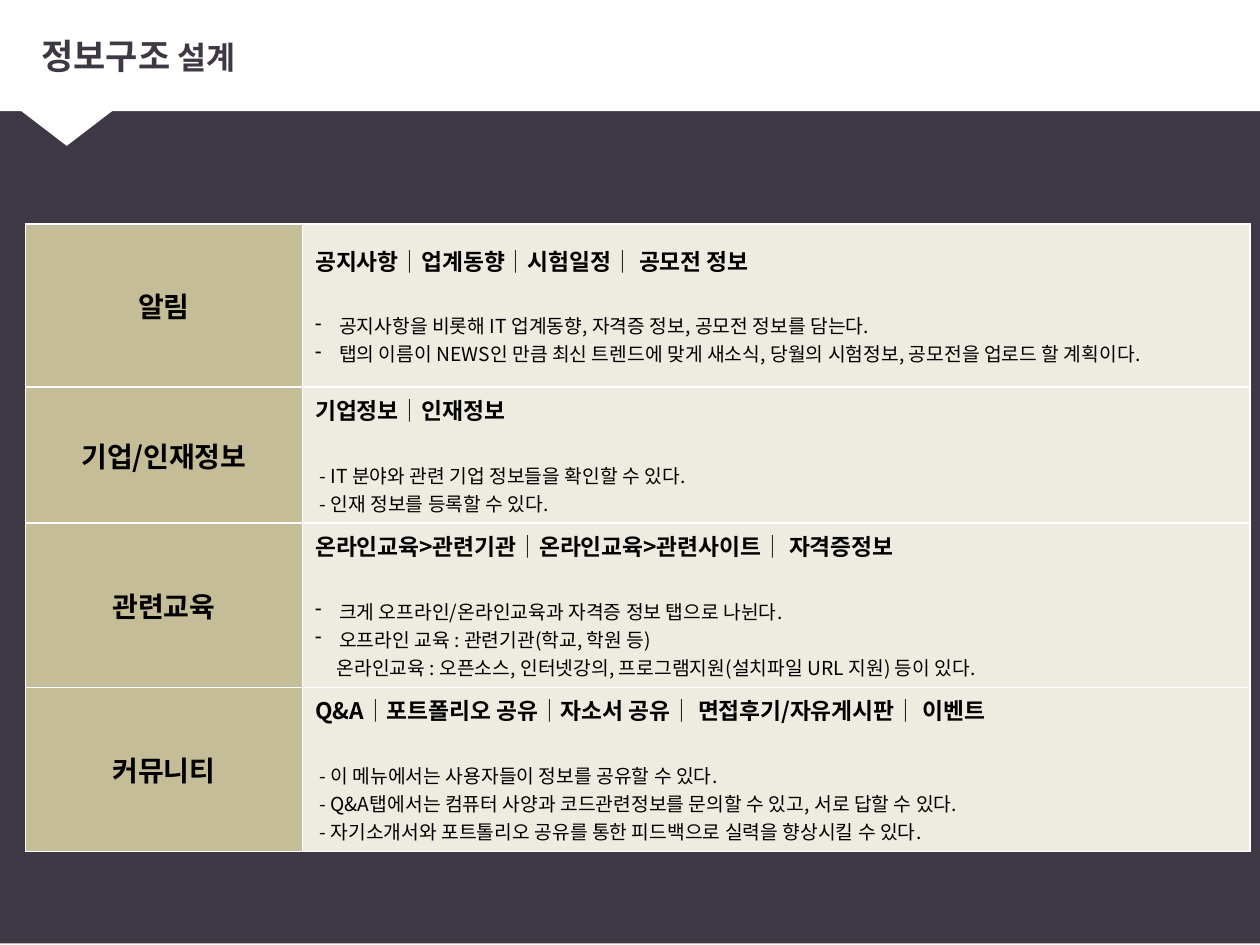
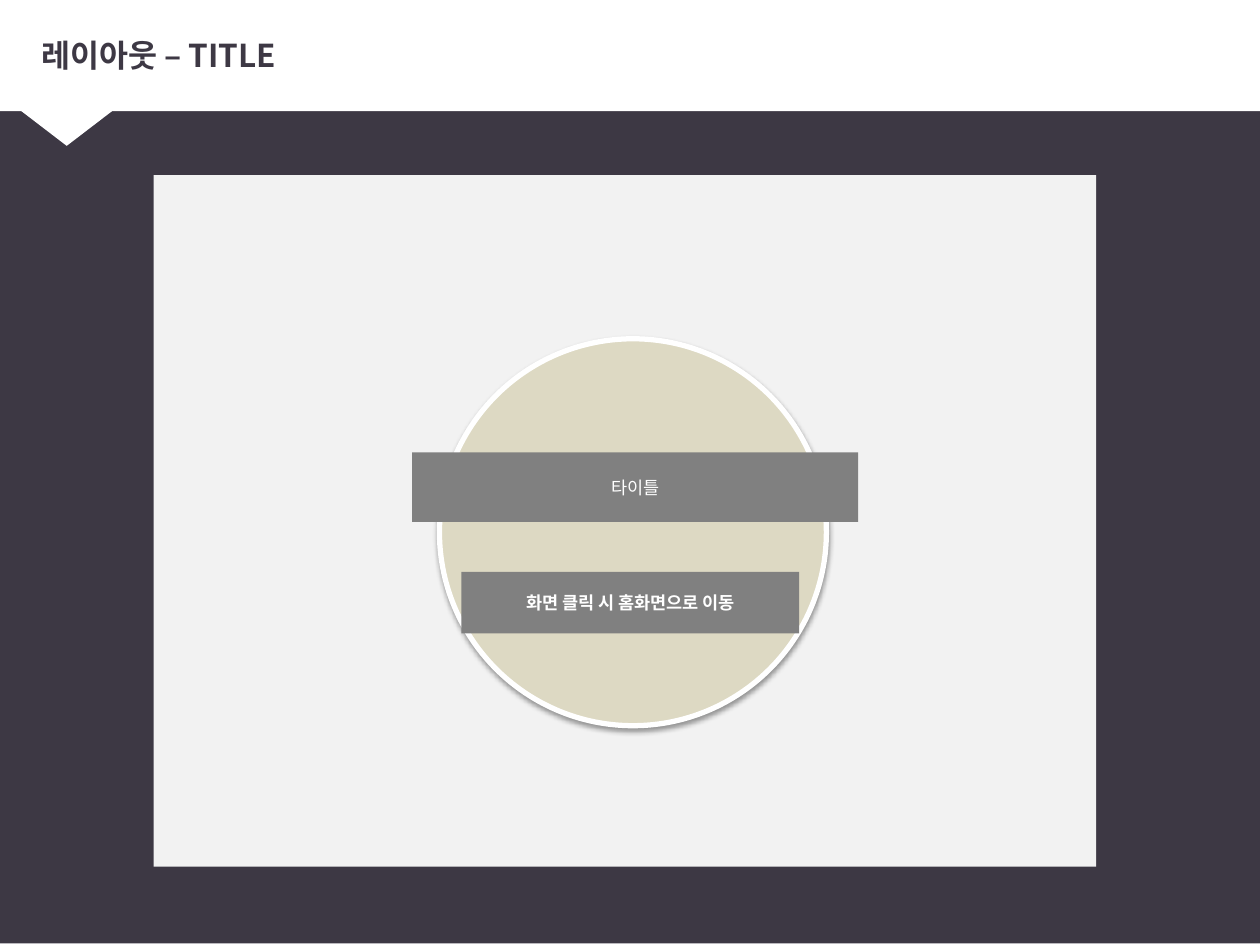
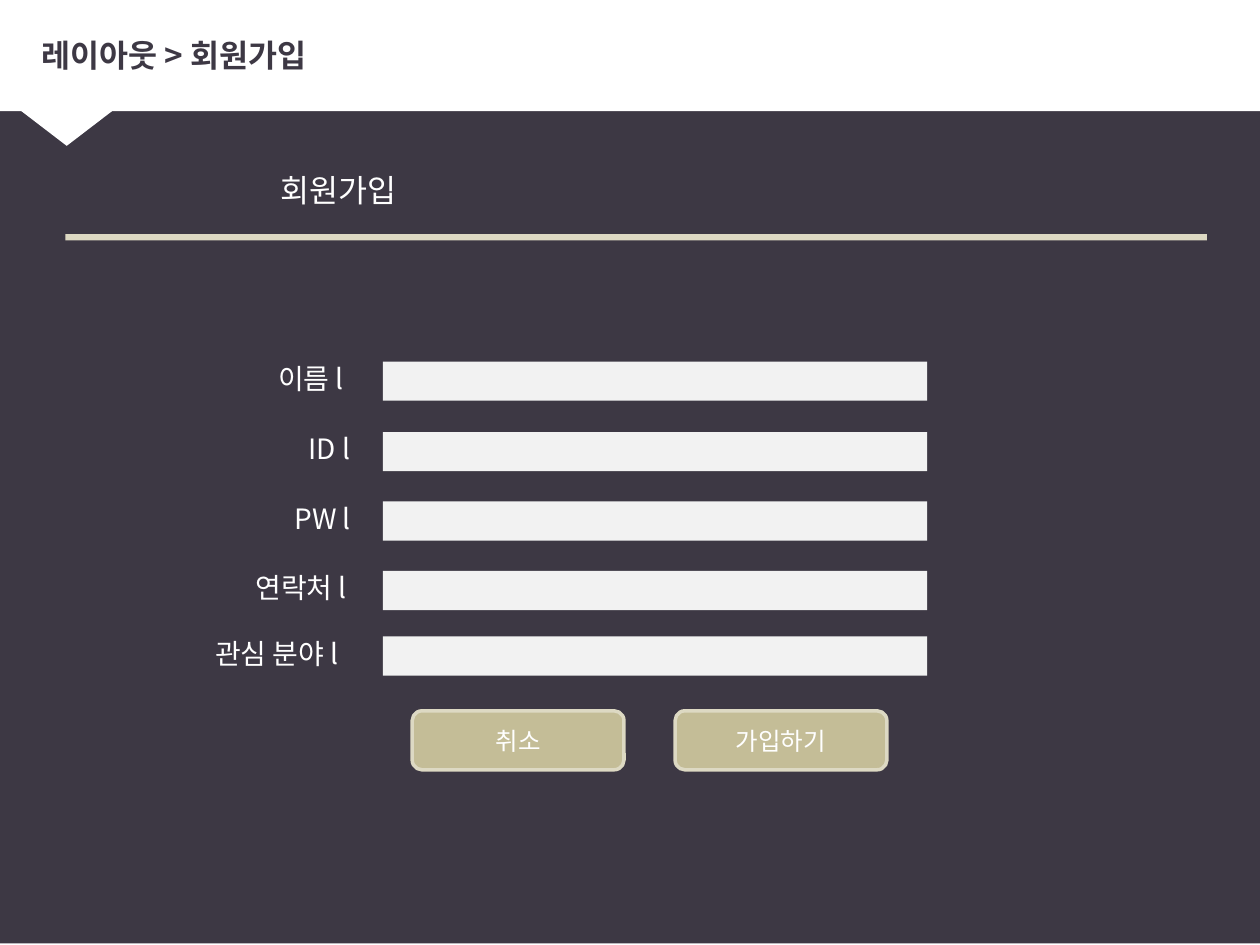
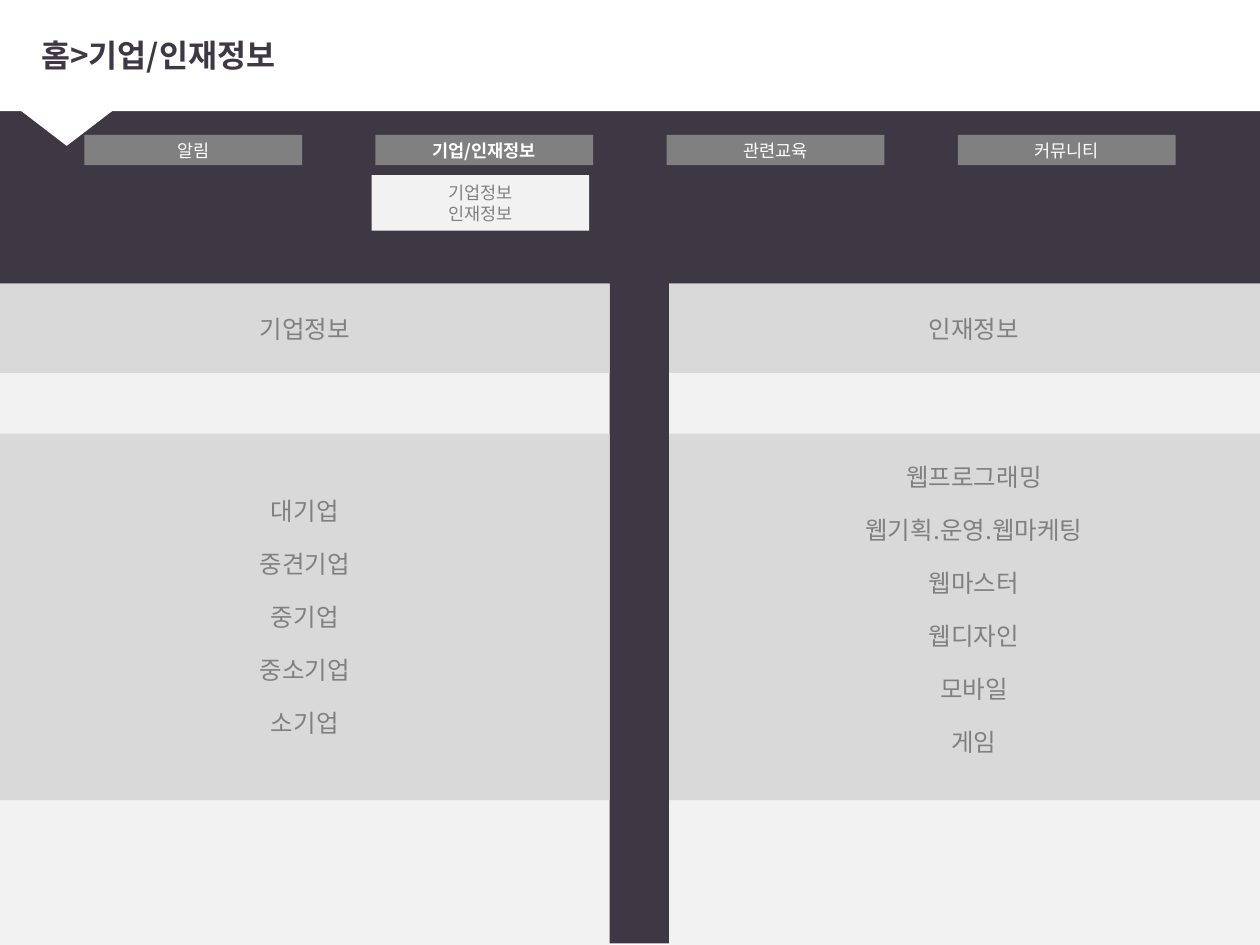
import lxml.etree
import pptx
import pptx.dml.color
import pptx.enum.shapes
import pptx.enum.text
import pptx.oxml.ns
import pptx.util

Cm = pptx.util.Cm
Pt = pptx.util.Pt
SHAPE = pptx.enum.shapes.MSO_SHAPE
ALIGN = pptx.enum.text.PP_ALIGN
MIDDLE = pptx.enum.text.MSO_ANCHOR.MIDDLE

FONT = "Noto Sans CJK KR"
DARK, WHITE, BLACK = "3D3844", "FFFFFF", "000000"
KHAKI, SAND, IVORY = "C4BD97", "DDD9C3", "EEECE1"
GRAY, SILVER, PALE = "808080", "D9D9D9", "F2F2F2"

# Content; all lengths in centimetres
TITLES = [
    [("정보구조", 20), (" 설계", 18)],
    [("레이아웃 – TITLE", 18)],
    [("레이아웃 > 회원가입", 18)],
    [("홈>기업/인재정보", 18)],
]

# Menu name, row height, sub-menus, (line style, line) pairs
MENU_ROWS = [
    ("알림", 3.28, "공지사항│업계동향│시험일정│ 공모전 정보", [
        ("dash", "공지사항을 비롯해 IT 업계동향, 자격증 정보, 공모전 정보를 담는다."),
        ("dash", "탭의 이름이 NEWS인 만큼 최신 트렌드에 맞게 새소식, 당월의 시험정보, "
                 "공모전을 업로드 할 계획이다."),
    ]),
    ("기업/인재정보", 2.67, "기업정보│인재정보", [
        ("plain", " - IT 분야와 관련 기업 정보들을 확인할 수 있다."),
        ("plain", " - 인재 정보를 등록할 수 있다."),
    ]),
    ("관련교육", 3.28, "온라인교육>관련기관│온라인교육>관련사이트│ 자격증정보", [
        ("dash", "크게 오프라인/온라인교육과 자격증 정보 탭으로 나뉜다."),
        ("dash", "오프라인 교육 : 관련기관(학교, 학원 등)"),
        ("indent", "온라인교육 : 오픈소스, 인터넷강의, 프로그램지원(설치파일 URL 지원) 등이 있다."),
    ]),
    ("커뮤니티", 3.28, "Q&A│포트폴리오 공유│자소서 공유│ 면접후기/자유게시판│ 이벤트", [
        ("plain", " - 이 메뉴에서는 사용자들이 정보를 공유할 수 있다."),
        ("plain", " - Q&A탭에서는 컴퓨터 사양과 코드관련정보를 문의할 수 있고, 서로 답할 수 있다."),
        ("plain", " - 자기소개서와 포트톨리오 공유를 통한 피드백으로 실력을 향상시킬 수 있다."),
    ]),
]
MENU_COLUMNS = (5.59, 19.1)

# Label, label left, label width, field top
FORM_FIELDS = [
    ("이름 l", 5.36, 3.73, 7.29),
    ("ID l", 5.97, 3.73, 8.71),
    ("PW l", 5.69, 3.73, 10.11),
    ("연락처 l", 4.9, 2.7, 11.51),
    ("관심 분야 l", 4.09, 3.61, 12.83),
]
FORM_BUTTONS = ["취소", "가입하기"]

NAV_ITEMS = ["알림", "기업/인재정보", "관련교육", "커뮤니티"]
CURRENT_NAV = "기업/인재정보"
SUBMENU = ["기업정보", "인재정보"]

# Heading, left, items, space kept free below the items
INFO_COLUMNS = [
    ("기업정보", 0, ["대기업", "중견기업", "중기업", "중소기업", "소기업"], 0),
    ("인재정보", 13.49, ["웹프로그래밍", "웹기획.운영.웹마케팅", "웹마스터", "웹디자인",
                     "모바일", "게임"], 0.3),
]


# Helpers
def rgb(color):
    return pptx.dml.color.RGBColor.from_string(color)


def add_xml(parent, tag, **attributes):
    return lxml.etree.SubElement(parent, pptx.oxml.ns.qn(tag), attributes)


def write(paragraph, text, size=10, color=WHITE, bold=False, align=ALIGN.LEFT):
    run = paragraph.add_run()
    run.text = text
    run.font.size = Pt(size)
    run.font.bold = bold
    run.font.color.rgb = rgb(color)
    run.font.name = FONT
    add_xml(run._r.get_or_add_rPr(), "a:ea", typeface=FONT)
    paragraph.alignment = align


def write_lines(frame, lines, gap=0, spacing=None, **style):
    for index, line in enumerate(lines):
        paragraph = frame.add_paragraph() if index else frame.paragraphs[0]
        write(paragraph, line, **style)
        if index:
            paragraph.space_before = Pt(gap)
        if spacing:
            paragraph.line_spacing = Pt(spacing)


def add_block(slide, place, fill, lines=(), kind=SHAPE.RECTANGLE, border=None, width=2,
              bottom=0, **style):
    block = slide.shapes.add_shape(kind, *map(Cm, place))
    block.shadow.inherit = False
    block.fill.solid()
    block.fill.fore_color.rgb = rgb(fill)
    if border:
        block.line.color.rgb = rgb(border)
        block.line.width = Pt(width)
    else:
        block.line.fill.background()
    frame = block.text_frame
    frame.vertical_anchor = MIDDLE
    frame.margin_top, frame.margin_bottom = 0, Cm(bottom)
    write_lines(frame, lines, align=ALIGN.CENTER, **style)
    return block


def add_label(slide, place, text, **style):
    frame = slide.shapes.add_textbox(*map(Cm, place)).text_frame
    frame.word_wrap = True
    write(frame.paragraphs[0], text, **style)


def format_cell(cell, fill):
    cell.vertical_anchor = MIDDLE
    properties = cell._tc.get_or_add_tcPr()
    for side in ("a:lnL", "a:lnR", "a:lnT", "a:lnB"):
        border = add_xml(properties, side, w=str(Pt(1)))
        add_xml(add_xml(border, "a:solidFill"), "a:srgbClr", val=WHITE)
    cell.fill.solid()
    cell.fill.fore_color.rgb = rgb(fill)


def indent_line(paragraph, line_style):
    properties = paragraph._p.get_or_add_pPr()
    if line_style == "dash":
        properties.set("marL", str(Cm(0.48)))
        properties.set("indent", str(-Cm(0.48)))
        add_xml(properties, "a:buChar", char="-")
    elif line_style == "indent":
        properties.set("marL", str(Cm(0.43)))


# Shared layout: dark ground, white title band with its pointer, title place
def prepare_layout(layout, slide):
    ground = add_block(slide, (0, -0.03, 25.76, 19.05), DARK)
    band = add_block(slide, (-0.08, -0.05, 25.83, 2.29), WHITE)
    pointer = add_block(slide, (-0.51, 1.52, 3.71, 1.42), WHITE,
                        kind=SHAPE.ISOSCELES_TRIANGLE)
    pointer.rotation = 180
    for position, part in enumerate((ground, band, pointer), start=2):
        layout.shapes.element.insert(position, part.element)
    title = layout.placeholders[0]
    title.left, title.top, title.width, title.height = map(Cm, (0.58, 0.33, 24.54, 1.57))
    title.text_frame.vertical_anchor = MIDDLE


def build_structure(slide):
    height = sum(row[1] for row in MENU_ROWS)
    table = slide.shapes.add_table(len(MENU_ROWS), 2, Cm(0.51), Cm(4.52),
                                   Cm(sum(MENU_COLUMNS)), Cm(height)).table
    table.first_row = table.horz_banding = False
    for column, width in zip(table.columns, MENU_COLUMNS):
        column.width = Cm(width)
    for row, (menu, row_height, submenus, lines) in zip(table.rows, MENU_ROWS):
        row.height = Cm(row_height)
        name, detail = row.cells
        format_cell(name, KHAKI)
        format_cell(detail, IVORY)
        write(name.text_frame.paragraphs[0], menu, size=16, color=BLACK, bold=True,
              align=ALIGN.CENTER)
        heading = detail.text_frame.paragraphs[0]
        write(heading, submenus, size=13, color=BLACK, bold=True)
        heading.space_after = Pt(20)
        for line_style, line in lines:
            paragraph = detail.text_frame.add_paragraph()
            write(paragraph, line, size=11, color=BLACK)
            indent_line(paragraph, line_style)


def build_title_screen(slide):
    add_block(slide, (3.1, 3.53, 19, 13.94), PALE)
    circle = add_block(slide, (8.86, 6.83, 7.8, 7.8), SAND, kind=SHAPE.OVAL,
                       border=WHITE, width=3)
    effects = circle.element.spPr.find(pptx.oxml.ns.qn("a:effectLst"))
    shadow = add_xml(effects, "a:outerShdw", blurRad=str(Pt(3.1)), dist=str(Pt(1.6)),
                     dir="5400000", rotWithShape="0")
    add_xml(add_xml(shadow, "a:srgbClr", val=BLACK), "a:alpha", val="38000")
    add_block(slide, (9.3, 11.53, 6.81, 1.24), GRAY, ["화면 클릭 시 홈화면으로 이동"], bold=True)
    add_block(slide, (8.31, 9.12, 8.99, 1.4), GRAY, ["타이틀"])


def build_sign_up(slide):
    add_label(slide, (5.41, 3.33, 3.73, 1.02), "회원가입", size=18)
    add_block(slide, (1.32, 4.72, 23.01, 0.13), SAND)
    for label, left, width, top in FORM_FIELDS:
        add_label(slide, (left, top - 0.13, width, 0.94), label, size=16)
        add_block(slide, (7.72, top, 10.97, 0.79), PALE)
    for index, button in enumerate(FORM_BUTTONS):
        add_block(slide, (8.31 + index * 5.3, 14.33, 4.27, 1.19), KHAKI, [button],
                  kind=SHAPE.ROUNDED_RECTANGLE, border=SAND, size=14)


def build_company_info(slide):
    for index, item in enumerate(NAV_ITEMS):
        add_block(slide, (1.7 + index * 5.87, 2.72, 4.39, 0.61), GRAY, [item],
                  bold=item == CURRENT_NAV)
    add_block(slide, (7.49, 3.53, 4.39, 1.12), PALE, SUBMENU, color=GRAY, spacing=12)
    for heading, left, items, bottom in INFO_COLUMNS:
        add_block(slide, (left, 5.72, 12.29, 13.33), PALE)
        add_block(slide, (left, 8.74, 12.29, 7.39), SILVER, items, bottom=bottom,
                  gap=13.4, size=14, color=GRAY)
        add_block(slide, (left, 5.72, 12.29, 1.8), SILVER, [heading], size=14, color=GRAY)


def main():
    deck = pptx.Presentation()
    deck.slide_width, deck.slide_height = Cm(25.4), Cm(19.05)
    layout = deck.slide_layouts[5]
    builders = (build_structure, build_title_screen, build_sign_up, build_company_info)
    for index, (title, build) in enumerate(zip(TITLES, builders)):
        slide = deck.slides.add_slide(layout)
        if index == 0:
            prepare_layout(layout, slide)
        for text, size in title:
            write(slide.shapes.title.text_frame.paragraphs[0], text, size=size,
                  color=DARK, bold=True)
        build(slide)
    deck.save("out.pptx")


if __name__ == "__main__":
    main()
